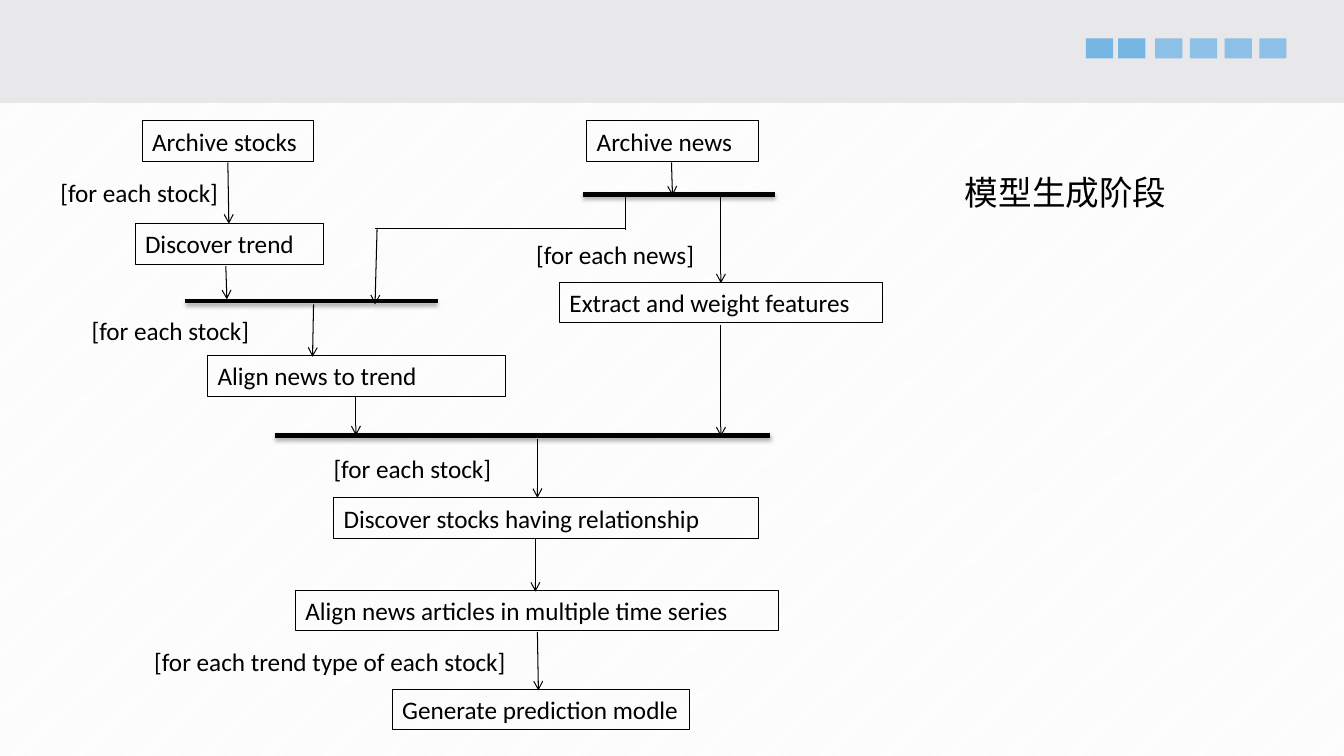
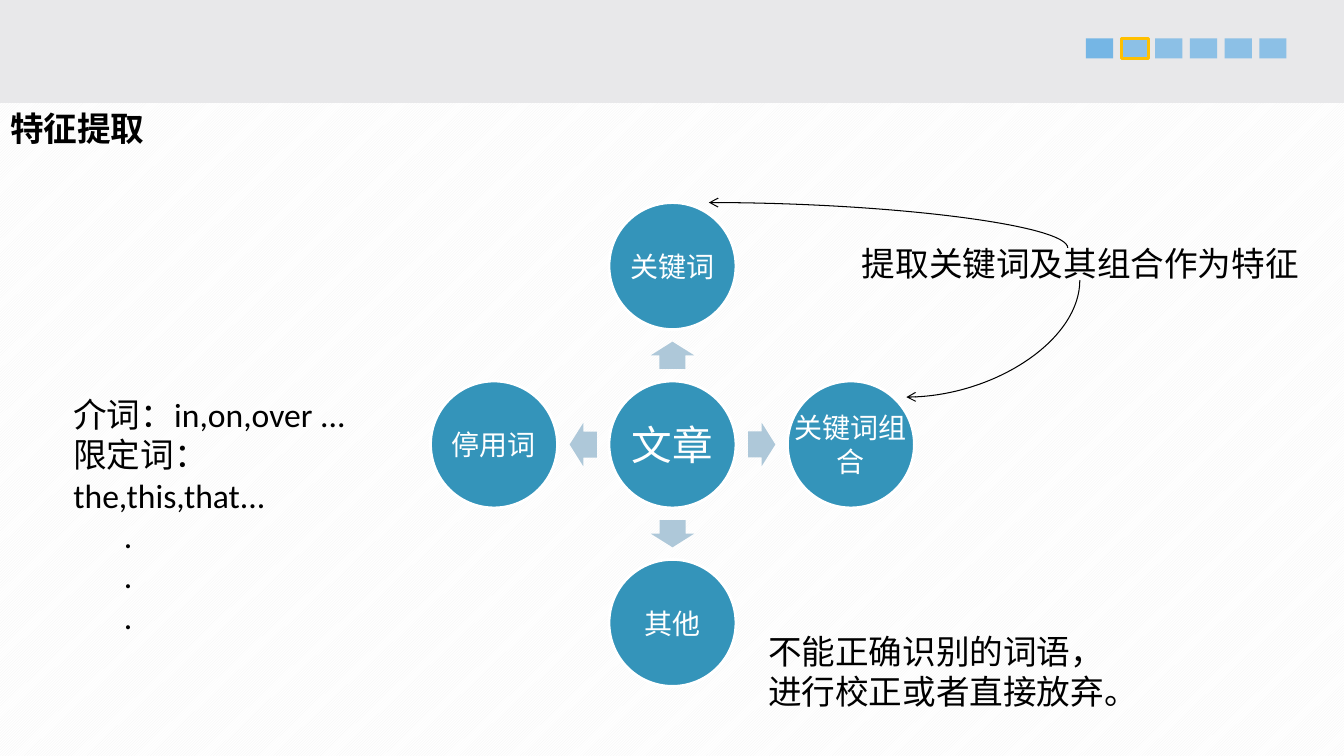
"""Build two slides: a model generation flowchart and a feature extraction diagram."""
from lxml import etree
from pptx import Presentation
from pptx.dml.color import RGBColor
from pptx.enum.dml import MSO_PATTERN
from pptx.enum.shapes import MSO_CONNECTOR, MSO_SHAPE
from pptx.enum.text import MSO_ANCHOR, MSO_AUTO_SIZE, PP_ALIGN
from pptx.oxml.ns import qn
from pptx.util import Inches, Pt

RECTANGLE, OVAL, RIGHT_ARROW = MSO_SHAPE.RECTANGLE, MSO_SHAPE.OVAL, MSO_SHAPE.RIGHT_ARROW
STRAIGHT, CURVE = MSO_CONNECTOR.STRAIGHT, MSO_CONNECTOR.CURVE
LEFT, CENTER = PP_ALIGN.LEFT, PP_ALIGN.CENTER
TOP, MIDDLE = MSO_ANCHOR.TOP, MSO_ANCHOR.MIDDLE
NO_AUTOFIT = MSO_AUTO_SIZE.NONE
UPWARD_STRIPES = MSO_PATTERN.LIGHT_UPWARD_DIAGONAL

BLACK = RGBColor(0x00, 0x00, 0x00)
WHITE = RGBColor(0xFF, 0xFF, 0xFF)
STRIPE = RGBColor(0xF2, 0xF2, 0xF2)
BAND = RGBColor(0xE8, 0xE8, 0xEA)
SQUARE = RGBColor(0x75, 0xB6, 0xE5)
GOLD = RGBColor(0xFF, 0xC0, 0x00)
TEAL = RGBColor(0x34, 0x94, 0xBA)
PALE = RGBColor(0xAE, 0xC8, 0xD9)
LATIN, CHINESE = "Calibri", "Noto Sans CJK SC"


def write(frame, text, size, colour=BLACK, font=LATIN, bold=False,
          align=LEFT, anchor=TOP, wrap=True):
    """Put formatted text in a text frame."""
    frame.text = text
    frame.auto_size = NO_AUTOFIT
    frame.word_wrap = wrap
    frame.vertical_anchor = anchor
    for para in frame.paragraphs:
        para.alignment = align
        para.font.name = font
        para.font.size = Pt(size)
        para.font.bold = bold
        para.font.color.rgb = colour


def draw_line(page, start, end, kind=STRAIGHT, width=0.75, arrow=True, shadow=False):
    """Draw a black connector between two points in inches."""
    line = page.shapes.add_connector(kind, *map(Inches, start + end))
    line.line.color.rgb = BLACK
    line.line.width = Pt(width)
    if arrow:
        etree.SubElement(line.get_or_add_ln(), qn("a:tailEnd"), type="arrow")
    effects = etree.SubElement(line.element.spPr, qn("a:effectLst"))
    if shadow:
        outer = etree.SubElement(effects, qn("a:outerShdw"), blurRad=str(Pt(3.1)),
                                 dist=str(Pt(1.8)), dir="5400000", rotWithShape="0")
        tint = etree.SubElement(outer, qn("a:srgbClr"), val=str(BLACK))
        etree.SubElement(tint, qn("a:alpha"), val="35000")
    return line


deck = Presentation()
deck.slide_width, deck.slide_height = Inches(13.33), Inches(7.5)
backdrop = deck.slide_master.background.fill
backdrop.patterned()
backdrop.pattern = UPWARD_STRIPES
backdrop.fore_color.rgb = STRIPE
backdrop.back_color.rgb = WHITE

layout = deck.slide_layouts[5]
flow_page, feature_page = [deck.slides.add_slide(layout) for _ in range(2)]

band = flow_page.shapes.add_shape(RECTANGLE, 0, 0, deck.slide_width, Inches(1.02))
band.shadow.inherit = False
band.fill.solid()
band.fill.fore_color.rgb = BAND
band.line.fill.background()
layout.shapes.element.insert(2, band.element)

PAGES = [
    (flow_page, "模型生成阶段", 9.47, 1.66, 2.5, LATIN, False, 11.09, 2),
    (feature_page, "特征提取", 0, 1.02, 11.39, CHINESE, True, 11.12, 1),
]
for page, heading, left, top, width, font, bold, second_left, solid_count in PAGES:
    title = page.shapes.title
    title.left, title.top = Inches(left), Inches(top)
    title.width, title.height = Inches(width), Inches(0.5)
    write(title.text_frame, heading, 24, font=font, bold=bold)
    for index in range(6):
        square_left = second_left if index == 1 else 10.77 + 0.344 * index
        square = page.shapes.add_shape(RECTANGLE, Inches(square_left), Inches(0.38),
                                       Inches(0.27), Inches(0.2))
        square.shadow.inherit = False
        square.fill.solid()
        square.fill.fore_color.rgb = SQUARE
        square.line.fill.background()
        if index >= solid_count:
            tint = square.element.spPr.find(qn("a:solidFill"))[0]
            etree.SubElement(tint, qn("a:alpha"), val="80000")
        if page is feature_page and index == 1:
            square.line.color.rgb = GOLD
            square.line.width = Pt(2)

STEPS = [
    ("Archive stocks", 1.41, 1.2, 1.7),
    ("Archive news", 5.82, 1.2, 1.7),
    ("Discover trend", 1.34, 2.22, 1.87),
    ("Extract and weight features", 5.55, 2.8, 3.2),
    ("Align news to trend", 2.06, 3.53, 2.95),
    ("Discover stocks having relationship", 3.31, 4.94, 4.21),
    ("Align news articles in multiple time series", 2.93, 5.86, 4.79),
    ("Generate prediction modle", 3.89, 6.84, 2.95),
]
CONDITIONS = [
    ("[for each stock]", 0.5, 1.71, 1.76),
    ("[for each news]", 5.22, 2.33, 1.76),
    ("[for each stock]", 0.81, 3.08, 1.76),
    ("[for each stock]", 3.21, 4.45, 1.76),
    ("[for each trend type of each stock]", 1.43, 6.36, 3.71),
]
for labels, framed in ((STEPS, True), (CONDITIONS, False)):
    for text, left, top, width in labels:
        box = flow_page.shapes.add_textbox(Inches(left), Inches(top), Inches(width), Inches(0.4))
        write(box.text_frame, text, 18, wrap=framed)
        if framed:
            box.line.color.rgb = BLACK
            box.line.width = Pt(0.75)

SYNC_BARS = [(5.78, 7.69, 1.93), (1.84, 4.34, 2.99), (2.73, 7.64, 4.32)]
for left, right, top in SYNC_BARS:
    draw_line(flow_page, (left, top), (right, top), width=3, arrow=False, shadow=True)

FLOWS = [
    ((2.26, 1.61), (2.27, 2.22)),
    ((2.24, 2.64), (2.25, 2.97)),
    ((6.66, 1.61), (6.67, 1.94)),
    ((3.74, 2.27), (3.72, 3.02)),
    ((3.11, 3.02), (3.1, 3.54)),
    ((7.15, 1.95), (7.15, 2.81)),
    ((7.15, 3.22), (7.15, 4.33)),
    ((3.53, 3.93), (3.53, 4.32)),
    ((5.33, 4.36), (5.33, 4.94)),
    ((5.31, 5.34), (5.31, 5.87)),
    ((5.33, 6.27), (5.34, 6.85)),
]
for start, end in FLOWS:
    draw_line(flow_page, start, end)
for start, end in [((6.2, 1.94), (6.2, 2.28)), ((6.21, 2.27), (3.72, 2.27))]:
    draw_line(flow_page, start, end, arrow=False)

HUB_X, HUB_Y, PITCH, DIAMETER = 6.67, 4.41, 1.77, 1.26
ARROW_LENGTH, ARROW_BREADTH = 0.27, 0.43
TOPICS = [
    ("文章", 0, 0, 29, None),
    ("关键词", 0, -1, 20, 270),
    ("关键词组\v合", 1, 0, 20, 0),
    ("其他", 0, 1, 20, 90),
    ("停用词", -1, 0, 20, 180),
]
for text, across, down, size, angle in TOPICS:
    circle = feature_page.shapes.add_shape(
        OVAL, Inches(HUB_X + across * PITCH - DIAMETER / 2),
        Inches(HUB_Y + down * PITCH - DIAMETER / 2), Inches(DIAMETER), Inches(DIAMETER))
    circle.shadow.inherit = False
    circle.fill.solid()
    circle.fill.fore_color.rgb = TEAL
    circle.line.color.rgb = WHITE
    circle.line.width = Pt(2)
    write(circle.text_frame, text, size, WHITE, align=CENTER, anchor=MIDDLE, wrap=False)
    if angle is not None:
        arrow = feature_page.shapes.add_shape(
            RIGHT_ARROW, Inches(HUB_X + across * PITCH / 2 - ARROW_LENGTH / 2),
            Inches(HUB_Y + down * PITCH / 2 - ARROW_BREADTH / 2),
            Inches(ARROW_LENGTH), Inches(ARROW_BREADTH))
        arrow.adjustments[0], arrow.adjustments[1] = 0.6, 0.5
        arrow.rotation = angle
        arrow.shadow.inherit = False
        arrow.fill.solid()
        arrow.fill.fore_color.rgb = PALE
        arrow.line.fill.background()

NOTES = [
    ("介词：in,on,over ...\n限定词：the,this,that...\n\t.\n\t.\n\t.", 0.63, 3.86, 3.2, 2.52, True),
    ("不能正确识别的词语，\n进行校正或者直接放弃。", 7.52, 6.21, 3.87, 0.91, False),
    ("提取关键词及其组合作为特征", 8.45, 2.36, 4.53, 0.5, False),
]
for text, left, top, width, height, wrap in NOTES:
    box = feature_page.shapes.add_textbox(Inches(left), Inches(top), Inches(width), Inches(height))
    write(box.text_frame, text, 24, wrap=wrap)

CURVES = [((10.59, 2.46), (7.03, 2.01)), ((10.71, 2.78), (8.99, 3.94))]
for (start_x, start_y), (end_x, end_y) in CURVES:
    turn = 1 if end_y > start_y else -1
    middle_x, middle_y = (start_x + end_x) / 2, (start_y + end_y) / 2
    half_rise, half_run = abs(end_y - start_y) / 2, turn * (start_x - end_x) / 2
    curve = draw_line(feature_page, (middle_x - half_rise, middle_y - half_run),
                      (middle_x + half_rise, middle_y + half_run), CURVE)
    outline = curve.element.spPr
    outline.find(qn("a:prstGeom")).set("prst", "curvedConnector2")
    outline.find(qn("a:xfrm")).set("rot", str(turn * 90 % 360 * 60000))

deck.save("out.pptx")
